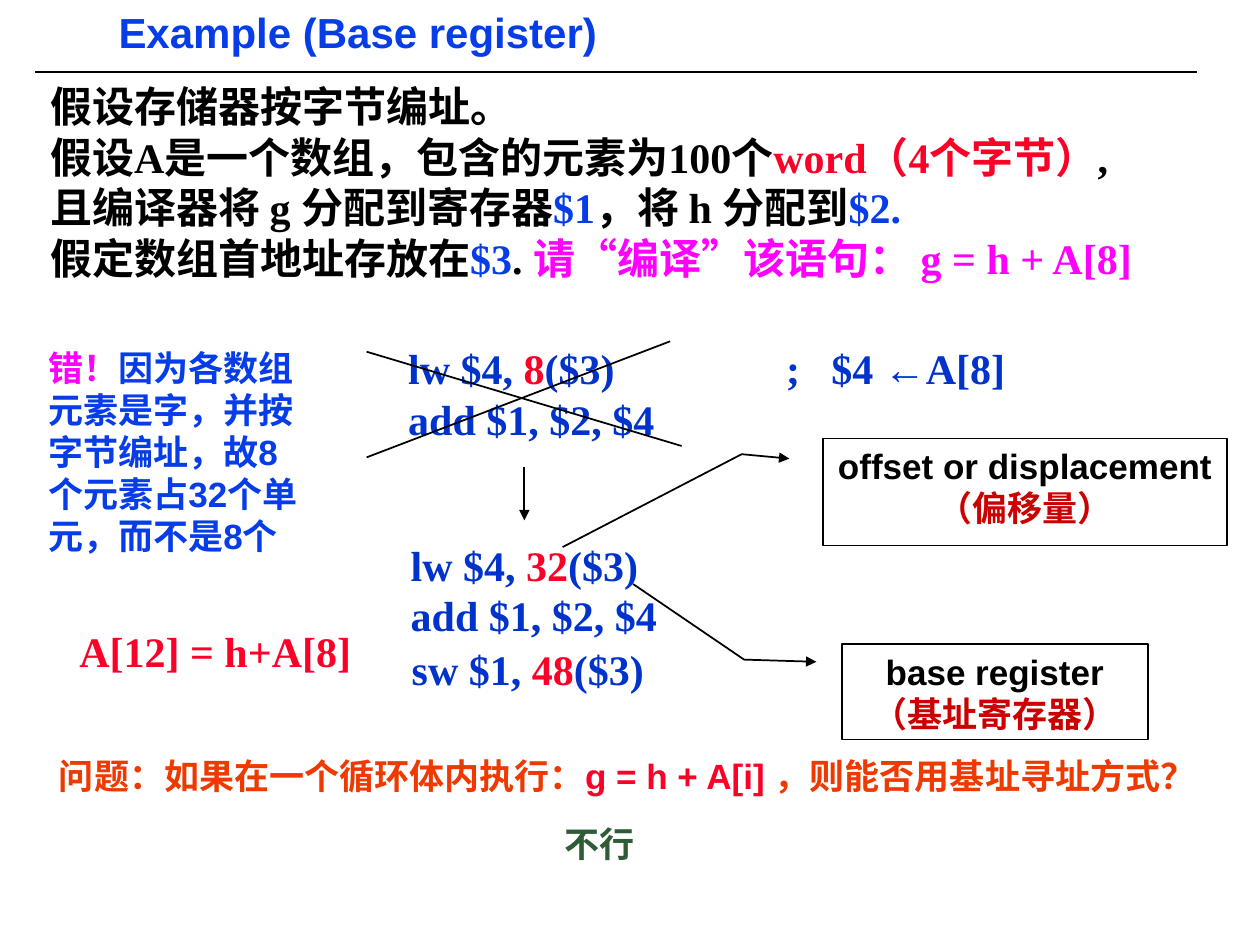
from lxml.etree import SubElement
from pptx import Presentation
from pptx.dml.color import RGBColor
from pptx.enum.shapes import MSO_CONNECTOR, MSO_SHAPE
from pptx.enum.text import MSO_ANCHOR, PP_ALIGN
from pptx.oxml.ns import qn
from pptx.util import Cm, Pt

BLACK = RGBColor(0x00, 0x00, 0x00)
BLUE = RGBColor(0x06, 0x3D, 0xE8)
CODE_BLUE = RGBColor(0x00, 0x33, 0xCC)
RED = RGBColor(0xFC, 0x01, 0x28)
DARK_RED = RGBColor(0xCC, 0x00, 0x00)
MAGENTA = RGBColor(0xFF, 0x00, 0xFF)
ORANGE = RGBColor(0xEE, 0x39, 0x00)
GREEN = RGBColor(0x2E, 0x5C, 0x35)
SANS, SERIF = "Arial", "Times New Roman"
WIDE_INSET, TIGHT_INSET = (0.25, 0.13), (0.18, 0.08)


def write_text(tf, paragraphs, font=SERIF, size=24, inset=WIDE_INSET, wrap=True,
               align=PP_ALIGN.LEFT, spacing=None, tabs=()):
    """Each paragraph is a list of (text, colour) or (text, colour, font) runs."""
    tf.word_wrap = wrap
    tf.vertical_anchor = MSO_ANCHOR.TOP
    tf.margin_left = tf.margin_right = Cm(inset[0])
    tf.margin_top = tf.margin_bottom = Cm(inset[1])
    for i, runs in enumerate(paragraphs):
        p = tf.add_paragraph() if i else tf.paragraphs[0]
        p.alignment = align
        if spacing:
            p.line_spacing = spacing
        if tabs:
            tab_list = SubElement(p._p.get_or_add_pPr(), qn("a:tabLst"))
            for pos in tabs:
                SubElement(tab_list, qn("a:tab"), pos=str(Cm(pos)), algn="l")
        for text, color, *own_font in runs:
            r = p.add_run()
            r.text = text
            r.font.name = own_font[0] if own_font else font
            r.font.size = Pt(size)
            r.font.bold = True
            r.font.color.rgb = color


class SlideBuilder:
    def __init__(self, slide, line_color=BLACK, line_width=1):
        self.s = slide
        self.line_color = line_color
        self.line_width = Pt(line_width)

    def style_line(self, line, arrow_end=None):
        line.color.rgb = self.line_color
        line.width = self.line_width
        if arrow_end:
            SubElement(line._get_or_add_ln(), qn(f"a:{arrow_end}"), type="triangle")

    def text(self, x, y, w, h, paragraphs, **fmt):
        sp = self.s.shapes.add_textbox(Cm(x), Cm(y), Cm(w), Cm(h))
        write_text(sp.text_frame, paragraphs, **fmt)

    def line(self, x1, y1, x2, y2, arrow_end=None):
        cxn = self.s.shapes.add_connector(
            MSO_CONNECTOR.STRAIGHT, Cm(x1), Cm(y1), Cm(x2), Cm(y2))
        self.style_line(cxn.line, arrow_end)
        SubElement(cxn._element.spPr, qn("a:effectLst"))

    def callout(self, x, y, w, h, leader, paragraphs):
        sp = self.s.shapes.add_shape(
            MSO_SHAPE.LINE_CALLOUT_2, Cm(x), Cm(y), Cm(w), Cm(h))
        sp.shadow.inherit = False
        sp.fill.background()
        for i, value in enumerate(leader):
            sp.adjustments[i] = value
        self.style_line(sp.line, "headEnd")
        write_text(sp.text_frame, paragraphs, font=SANS, size=20,
                   align=PP_ALIGN.CENTER)


def load_word(offset):
    return [("lw $4, ", CODE_BLUE), (offset, RED), ("($3)", CODE_BLUE)]


def main():
    prs = Presentation()
    prs.slide_width, prs.slide_height = Cm(25.4), Cm(19.05)
    b = SlideBuilder(prs.slides.add_slide(prs.slide_layouts[6]))
    add_line = [("add $1, $2, $4", CODE_BLUE)]

    # Title and rule
    b.line(0.71, 1.45, 24.13, 1.45)
    b.text(2.21, 0.2, 10.24, 1.02, [[("Example (Base register)", BLUE)]],
           font=SANS, inset=TIGHT_INSET, spacing=0.87)

    # Problem statement
    b.text(0.76, 1.5, 23.88, 4.32, [
        [("假设存储器按字节编址。", BLACK)],
        [("假设A是一个数组，包含的元素为100个", BLACK),
         ("word（4个字节）", RED), (",", BLACK)],
        [("且编译器将 g 分配到寄存器", BLACK), ("$1", BLUE),
         ("，将 h 分配到", BLACK), ("$2.", BLUE)],
        [("假定数组首地址存放在", BLACK), ("$3", BLUE), (". ", BLACK),
         ("请“编译”该语句： g = h + A[8]", MAGENTA)],
    ], wrap=False)

    # Wrong code, then corrected code
    comment = [("\t;\t$4 ", CODE_BLUE), ("←", CODE_BLUE, SANS), ("A[8]", CODE_BLUE)]
    b.text(7.98, 6.78, 12.95, 2.29, [load_word("8") + comment, add_line],
           tabs=(7.62, 8.53))
    b.text(8.03, 10.74, 6, 2.29, [load_word("32"), add_line])
    b.text(1.35, 12.47, 5.99, 1.27, [[("A[12] = h+A[8]", RED)]], wrap=False)
    b.text(8.05, 12.85, 5.18, 1.27,
           [[("sw $1, ", CODE_BLUE), ("48", RED), ("($3)", CODE_BLUE)]], wrap=False)

    # Crossing-out and arrow to the correction
    b.line(10.57, 9.42, 10.57, 10.49, "tailEnd")
    b.line(7.39, 7.09, 13.74, 8.99)
    b.line(7.39, 9.22, 13.51, 6.88)

    # Operand callouts
    b.callout(16.97, 12.98, 6.17, 1.93,
              (0.188, -0.083, 0.165, -0.319, -0.625, -0.682),
              [[("base register", BLACK)], [("（基址寄存器）", DARK_RED)]])
    b.callout(16.59, 8.84, 8.15, 2.16,
              (0.188, -0.083, 0.147, -0.201, 1.014, -0.644),
              [[("offset or displacement", BLACK)], [("（偏移量）", DARK_RED)]])

    # Question, answer and explanation
    b.text(0.94, 15.09, 22.8, 1.96, [[
        ("问题：如果在一个循环体内执行：", ORANGE), ("g = h + A[i] ", RED),
        ("，则能否用基址寻址方式？", ORANGE)]], font=SANS, size=20)
    b.text(11.13, 16.46, 2.24, 1.12, [[("不行", GREEN)]], font=SANS, size=20)
    b.text(0.79, 6.91, 5.66, 5.23, [[
        ("错！", MAGENTA),
        ("因为各数组元素是字，并按字节编址，故8个元素占32个单元，而不是8个", BLUE)]],
        font=SANS, size=20, inset=TIGHT_INSET)

    prs.save("out.pptx")


if __name__ == "__main__":
    main()
